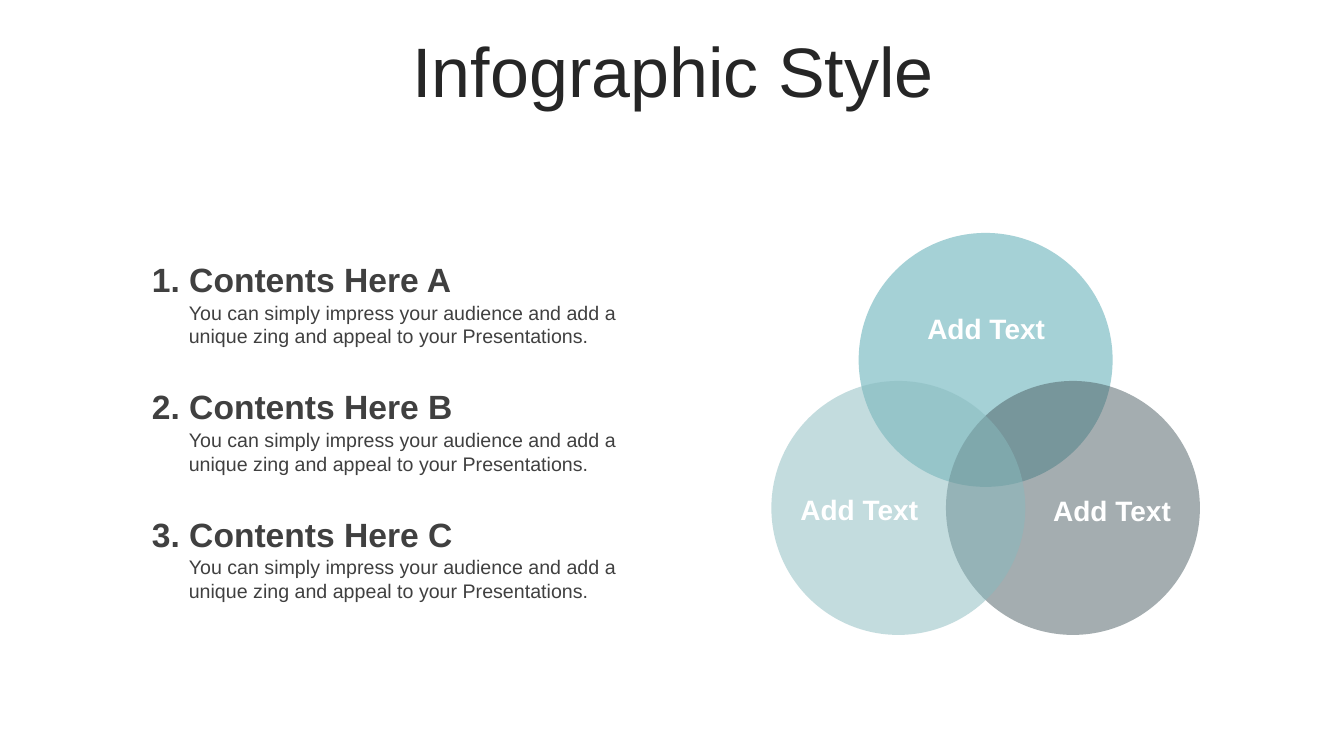
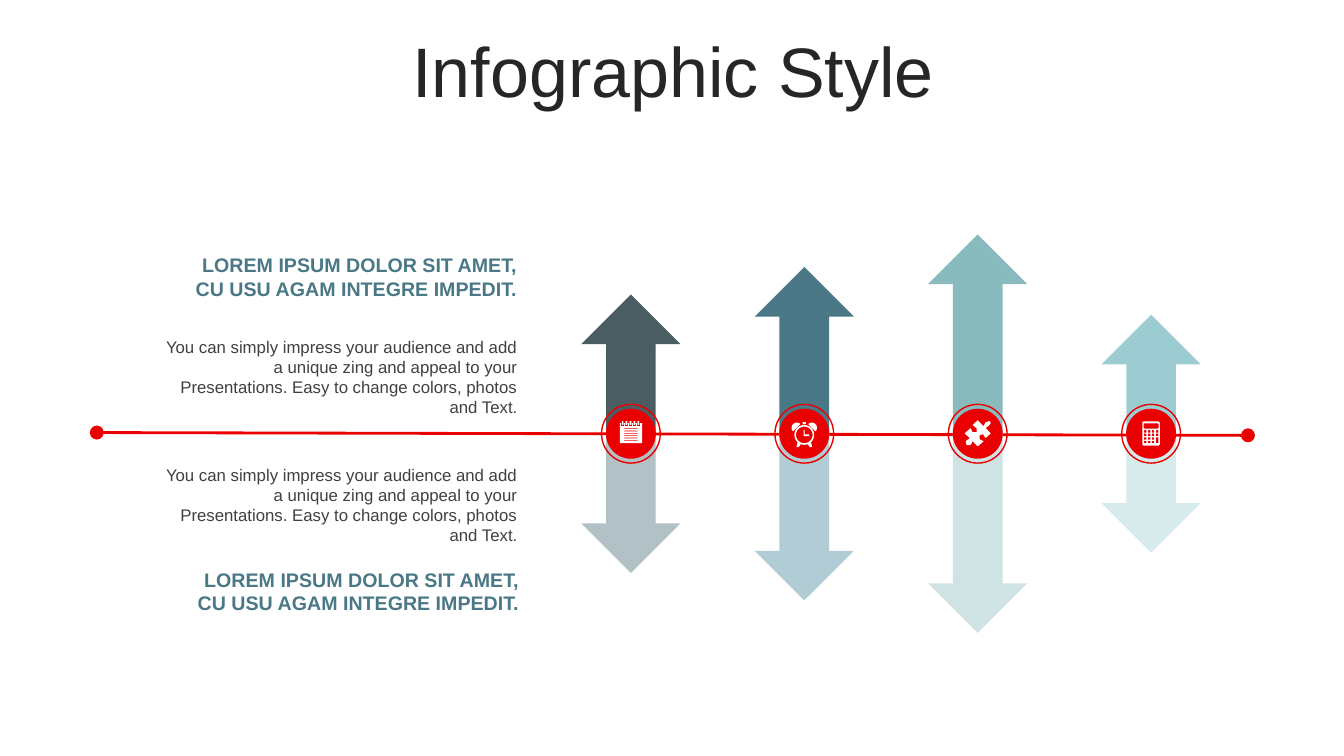
from math import cos, radians, sin

from lxml import etree
from pptx import Presentation
from pptx.dml.color import RGBColor
from pptx.enum.shapes import MSO_CONNECTOR, MSO_SHAPE
from pptx.enum.text import MSO_ANCHOR, PP_ALIGN
from pptx.oxml.ns import qn
from pptx.util import Cm, Pt

FONT = "Arial"
WHITE = RGBColor(0xFF, 0xFF, 0xFF)
INK = RGBColor(0x26, 0x26, 0x26)
GREY = RGBColor(0x40, 0x40, 0x40)
RED = RGBColor(0xEA, 0x00, 0x00)
SLATE = RGBColor(0x4A, 0x5D, 0x62)
TEAL = RGBColor(0x4A, 0x78, 0x86)
SAGE = RGBColor(0x88, 0xBA, 0xBE)
AQUA = RGBColor(0x9C, 0xCC, 0xD2)
PALE_SLATE = RGBColor(0xB2, 0xC1, 0xC5)
PALE_TEAL = RGBColor(0xB1, 0xCC, 0xD4)
PALE_SAGE = RGBColor(0xCF, 0xE3, 0xE5)
PALE_AQUA = RGBColor(0xD7, 0xEB, 0xED)

TITLE = "Infographic Style"
PITCH_TEXT = "You can simply impress your audience and add a unique zing and appeal to your Presentations."
CONTENTS = ["1. Contents Here A", "2. Contents Here B", "3. Contents Here C"]

# Venn circles: centre x, centre y, colour, opacity in percent
CIRCLES = [
    (24.84, 9.07, AQUA, 90),
    (27.04, 12.8, SLATE, 50),
    (22.64, 12.8, SAGE, 50),
]
CIRCLE_SIZE = 6.4
# Venn labels: left, top, text
VENN_LABELS = [
    (19.46, 12.29, "Add Text"),
    (25.83, 12.32, "Add Text"),
    (22.66, 7.72, "Add Text"),
]

LOREM = "LOREM IPSUM DOLOR SIT AMET,\nCU USU AGAM INTEGRE IMPEDIT."
EASY_TEXT = PITCH_TEXT + " Easy to change colors, photos and Text."
LOREM_BOXES = [(2.97, 6.25), (3.02, 14.17)]
EASY_TOPS = [8.36, 11.58]

AXIS_Y = 10.93
# Arrow pairs from left to right: length of each arrow, upper colour, lower colour, icon
ARROW_PAIRS = [
    (3.51, SLATE, PALE_SLATE, "notepad"),
    (4.2, TEAL, PALE_TEAL, "clock"),
    (5.02, SAGE, PALE_SAGE, "puzzle"),
    (3.0, AQUA, PALE_AQUA, "calculator"),
]
FIRST_ARROW_X, ARROW_PITCH, ARROW_WIDTH = 15.9, 4.37, 2.5
BADGE_SIZE, RING_SIZE = 1.26, 1.48


def box(x, y, w, h, cut=0.0):
    """Corner points of a rectangle, with its corners cut off if asked."""
    r, b = x + w, y + h
    if not cut:
        return [(x, y), (r, y), (r, b), (x, b)]
    return [(x + cut, y), (r - cut, y), (r, y + cut), (r, b - cut),
            (r - cut, b), (x + cut, b), (x, b - cut), (x, y + cut)]


def arc(cx, cy, radius, start=0, end=360, step=15):
    return [(cx + radius * cos(radians(a)), cy + radius * sin(radians(a)))
            for a in range(start, end + 1, step)]


def mirror(points):
    return [(-x, y) for x, y in points]


def notepad():
    outlines = [box(-0.28, -0.27, 0.56, 0.51)]
    outlines += [box(-0.17, -0.14 + 0.06 * i, 0.34, 0.02) for i in range(6)]
    for i in range(5):
        x = -0.21 + 0.1 * i
        outlines += [box(x - 0.04, -0.27, 0.08, 0.08), box(x - 0.02, -0.32, 0.04, 0.1)]
    return outlines


def clock():
    hands = [(-0.02, -0.1), (0.01, -0.1), (0.01, 0.02), (0.12, 0.02), (0.12, 0.06), (-0.02, 0.06)]
    leg = [(-0.17, 0.22), (-0.09, 0.27), (-0.14, 0.34), (-0.2, 0.34)]
    bell = arc(-0.19, -0.15, 0.13, 135, 315)
    return [arc(0, 0.03, 0.25), arc(0, 0.03, 0.21), hands, leg, mirror(leg),
            bell, mirror(bell), box(-0.04, -0.29, 0.08, 0.05)]


def puzzle():
    return [[
        (0.3, -0.32), (0.33, -0.27), (0.3, -0.22), (0.2, -0.14), (0.33, -0.01), (0.2, 0.11),
        (0.13, 0.01), (0.05, 0.04), (0.05, 0.14), (0.15, 0.19), (0, 0.32), (-0.13, 0.19),
        (-0.18, 0.29), (-0.28, 0.29), (-0.3, 0.19), (-0.2, 0.11), (-0.33, -0.01), (-0.18, -0.14),
        (-0.13, -0.04), (-0.03, -0.04), (-0.03, -0.14), (-0.13, -0.22), (0, -0.34),
        (0.15, -0.19), (0.2, -0.29),
    ]]


def calculator():
    keys = []
    for col in range(4):
        for row in range(4):
            if (col, row) == (3, 3):
                continue
            height = 0.15 if (col, row) == (3, 2) else 0.06
            keys.append(box(-0.18 + 0.1 * col, -0.09 + 0.09 * row, 0.06, height))
    return [box(-0.22, -0.31, 0.44, 0.61, 0.03), box(-0.19, -0.26, 0.38, 0.13, 0.02)] + keys


ICONS = {"notepad": notepad, "clock": clock, "puzzle": puzzle, "calculator": calculator}


def add_text(shapes, text, x, y, w, h, size, color, bold=False, align=PP_ALIGN.LEFT,
             anchor=MSO_ANCHOR.TOP, inset=0.25):
    sp = shapes.add_textbox(Cm(x), Cm(y), Cm(w), Cm(h))
    tf = sp.text_frame
    tf.word_wrap = True
    tf.vertical_anchor = anchor
    tf.margin_left = tf.margin_right = Cm(inset)
    tf.text = text
    for p in tf.paragraphs:
        p.alignment = align
        for r in p.runs:
            r.font.name = FONT
            r.font.size = Pt(size)
            r.font.bold = bold
            r.font.color.rgb = color
    return sp


def add_filled(shapes, kind, x, y, w, h, color):
    sp = shapes.add_shape(kind, Cm(x), Cm(y), Cm(w), Cm(h))
    sp.shadow.inherit = False
    sp.fill.solid()
    sp.fill.fore_color.rgb = color
    sp.line.fill.background()
    return sp


def add_circle(shapes, cx, cy, size, color):
    return add_filled(shapes, MSO_SHAPE.OVAL, cx - size / 2, cy - size / 2, size, size, color)


def set_opacity(sp, percent):
    color = sp.fill._xPr.find(qn("a:solidFill"))[0]
    etree.SubElement(color, qn("a:alpha"), val=str(percent * 1000))


def add_icon(shapes, outlines, cx, cy):
    """Draw all outlines as one white shape; inner outlines become holes."""
    outlines = [[(Cm(cx + x), Cm(cy + y)) for x, y in pts] for pts in outlines]
    builder = shapes.build_freeform(*outlines[0][0])
    for i, pts in enumerate(outlines):
        if i:
            builder.move_to(*pts[0])
        builder.add_line_segments(pts[1:], close=True)
    sp = builder.convert_to_shape()
    sp.shadow.inherit = False
    sp.fill.solid()
    sp.fill.fore_color.rgb = WHITE
    sp.line.fill.background()


def add_axis(shapes):
    cxn = shapes.add_connector(MSO_CONNECTOR.STRAIGHT, Cm(2.44), Cm(10.9), Cm(31.45), Cm(10.97))
    cxn.line.color.rgb = RED
    cxn.line.width = Pt(2)
    ln = cxn.line._get_or_add_ln()
    for end in ("a:headEnd", "a:tailEnd"):
        etree.SubElement(ln, qn(end), type="oval", w="lg", len="lg")
    etree.SubElement(cxn._element.spPr, qn("a:effectLst"))


def add_arrow_pair(shapes, cx, length, upper, lower, icon):
    left = cx - ARROW_WIDTH / 2
    add_filled(shapes, MSO_SHAPE.DOWN_ARROW, left, AXIS_Y, ARROW_WIDTH, length, lower)
    add_filled(shapes, MSO_SHAPE.UP_ARROW, left, AXIS_Y - length, ARROW_WIDTH, length, upper)
    add_circle(shapes, cx, AXIS_Y, BADGE_SIZE, RED)
    ring = add_circle(shapes, cx, AXIS_Y, RING_SIZE, RED)
    ring.fill.background()
    ring.line.color.rgb = RED
    ring.line.width = Pt(1)
    add_icon(shapes, ICONS[icon](), cx, AXIS_Y)


def new_slide(prs):
    s = prs.slides.add_slide(prs.slide_layouts[6])
    title = add_text(s.shapes, TITLE, 0.89, 0.94, 32.16, 2, 50, INK,
                     align=PP_ALIGN.CENTER, anchor=MSO_ANCHOR.MIDDLE)
    title.text_frame.paragraphs[0].line_spacing = 0.8
    return s


def build_venn_slide(prs):
    shapes = new_slide(prs).shapes
    venn = shapes.add_group_shape().shapes
    for cx, cy, color, opacity in CIRCLES:
        set_opacity(add_circle(venn, cx, cy, CIRCLE_SIZE, color), opacity)
    for x, y, text in VENN_LABELS:
        add_text(venn, text, x, y, 4.39, 1.12, 20, WHITE, True, PP_ALIGN.CENTER)
    for i, heading in enumerate(CONTENTS):
        y = 6.4 + 3.21 * i
        item = shapes.add_group_shape().shapes
        add_text(item, PITCH_TEXT, 4.55, y + 1.05, 11.66, 1.45, 14, GREY, inset=0.21)
        add_text(item, heading, 3.58, y, 12.62, 1.27, 24, GREY, True)


def build_arrow_slide(prs):
    shapes = new_slide(prs).shapes
    add_axis(shapes)
    for y in EASY_TOPS:
        add_text(shapes, EASY_TEXT, 3.84, y, 9.45, 2.3, 12, GREY, align=PP_ALIGN.RIGHT)
    for i, pair in enumerate(ARROW_PAIRS):
        group = shapes.add_group_shape().shapes
        add_arrow_pair(group, FIRST_ARROW_X + ARROW_PITCH * i, *pair)
    for x, y in LOREM_BOXES:
        add_text(shapes, LOREM, x, y, 10.31, 1.45, 14, TEAL, True,
                 PP_ALIGN.RIGHT, MSO_ANCHOR.MIDDLE)


def main():
    prs = Presentation()
    prs.slide_width, prs.slide_height = Cm(33.87), Cm(19.05)
    build_venn_slide(prs)
    build_arrow_slide(prs)
    prs.save("out.pptx")


if __name__ == "__main__":
    main()
